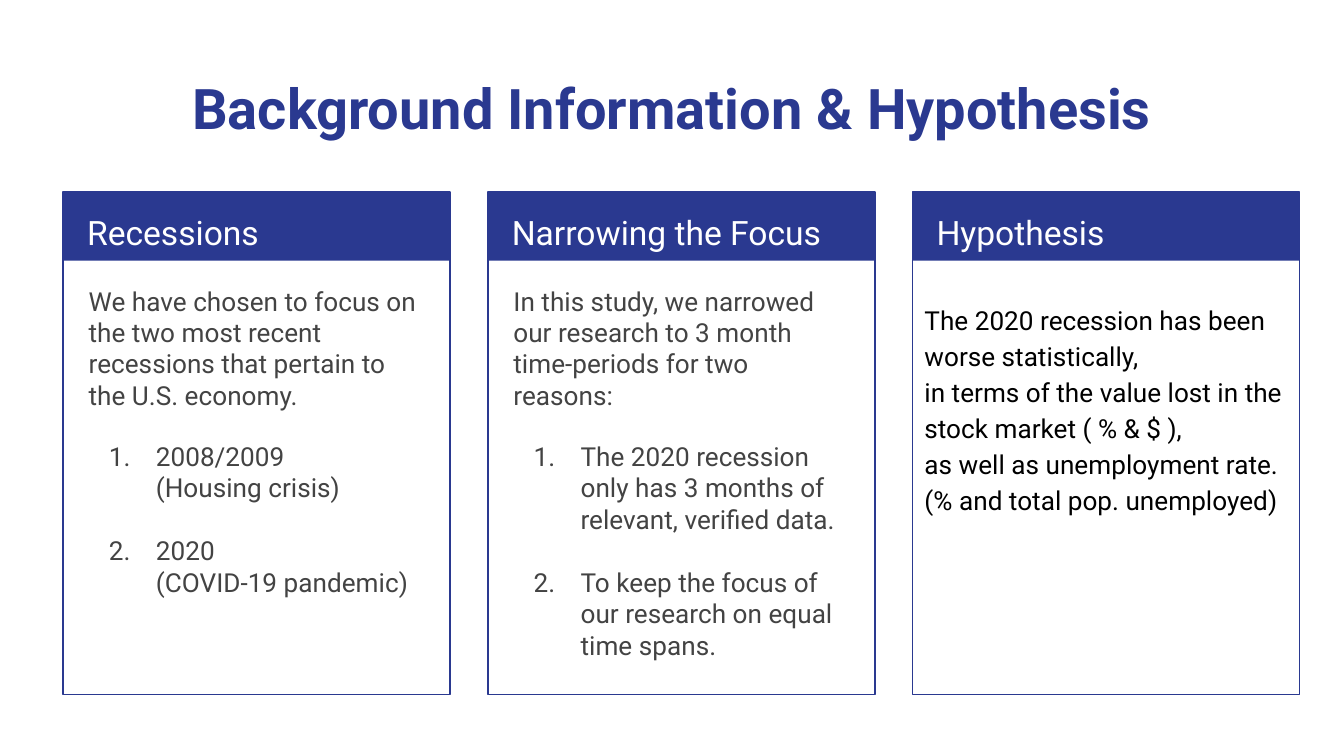
from lxml import etree
from pptx import Presentation
from pptx.dml.color import RGBColor
from pptx.enum.shapes import MSO_SHAPE
from pptx.enum.text import MSO_ANCHOR, MSO_AUTO_SIZE, PP_ALIGN
from pptx.oxml.ns import qn
from pptx.util import Inches, Pt

RECTANGLE = MSO_SHAPE.RECTANGLE
TOP = MSO_ANCHOR.TOP
NO_AUTOFIT = MSO_AUTO_SIZE.NONE
CENTER, LEFT = PP_ALIGN.CENTER, PP_ALIGN.LEFT

NAVY = RGBColor(0x2A, 0x39, 0x90)
WHITE = RGBColor(0xFF, 0xFF, 0xFF)
GRAY = RGBColor(0x43, 0x43, 0x43)
BLACK = RGBColor(0x00, 0x00, 0x00)

HEADINGS = ["Recessions", "Narrowing the Focus", "Hypothesis"]
LISTS = [
    ("We have chosen to focus on the two most recent recessions "
     "that pertain to the U.S. economy.",
     ["2008/2009\v(Housing crisis)", "2020\v(COVID-19 pandemic)"]),
    ("In this study, we narrowed our research to 3 month "
     "time-periods for two reasons:",
     ["The 2020 recession only has 3 months of relevant, verified data.",
      "To keep the focus of our research on equal time spans."]),
]
ITEM_GAPS = [16, 17]
HYPOTHESIS = (
    "The 2020 recession has been worse statistically,\v"
    "in terms of the value lost in the stock market ( % & $ ),\v"
    "as well as unemployment rate. (% and total pop. unemployed)"
)
CARD_LEFT, CARD_TOP, CARD_WIDTH, CARD_PITCH = 0.47, 1.43, 2.88, 3.16


def place(box, left, top, width, height):
    """Position a text shape and give its frame the slide's common settings."""
    box.left, box.top = Inches(left), Inches(top)
    box.width, box.height = Inches(width), Inches(height)
    frame = box.text_frame
    frame.word_wrap = True
    frame.auto_size = NO_AUTOFIT
    frame.vertical_anchor = TOP
    frame.margin_left = frame.margin_right = Inches(0.1)
    frame.margin_top = frame.margin_bottom = Inches(0.1)
    return frame


def write(para, text, size, color, spacing=1.0, before=0, align=LEFT):
    """Fill a paragraph and set its spacing and font."""
    para.text = text
    para.alignment = align
    para.line_spacing = spacing
    para.space_before = Pt(before)
    para.font.name = "Roboto"
    para.font.size = Pt(size)
    para.font.color.rgb = color


# Widescreen page, 16 to 9
deck = Presentation()
deck.slide_width = Inches(10)
deck.slide_height = Inches(10 * 9 / 16)
slide = deck.slides.add_slide(deck.slide_layouts.get_by_name("Two Content"))
shapes = slide.shapes

# Title
title = place(shapes.title, 0.34, 0.45, 9.32, 0.66).paragraphs[0]
write(title, "Background Information & Hypothesis", 30, NAVY, align=CENTER)
title.font.bold = True

# Cards with a filled heading band
for column, heading in enumerate(HEADINGS):
    left = CARD_LEFT + column * CARD_PITCH
    band = shapes.add_shape(RECTANGLE, Inches(left), Inches(CARD_TOP),
                            Inches(CARD_WIDTH), Inches(0.51))
    band.fill.solid()
    band.fill.fore_color.rgb = NAVY
    band.line.fill.background()
    band.shadow.inherit = False

    card = shapes.add_shape(RECTANGLE, Inches(left), Inches(CARD_TOP),
                            Inches(CARD_WIDTH), Inches(3.74))
    card.fill.background()
    card.line.color.rgb = NAVY
    card.line.width = Pt(0.75)
    card.shadow.inherit = False

    heading_box = shapes.add_textbox(0, 0, 0, 0)
    frame = place(heading_box, left + 0.08, CARD_TOP, 2.73, 0.5)
    write(frame.paragraphs[0], heading, 18, WHITE, spacing=1.15)

# Introductions with numbered lists in the first two cards
for column, (introduction, items) in enumerate(LISTS):
    frame = place(slide.placeholders[column + 1],
                  CARD_LEFT + 0.09 + column * CARD_PITCH, 2.02, 2.71, 3.06)
    intro = frame.paragraphs[0]
    properties = intro._p.get_or_add_pPr()
    properties.set("marL", "0")
    properties.set("indent", "0")
    etree.SubElement(properties, qn("a:buNone"))
    write(intro, introduction, 14, GRAY)
    for item, gap in zip(items, ITEM_GAPS):
        para = frame.add_paragraph()
        properties = para._p.get_or_add_pPr()
        properties.set("marL", str(Inches(0.5)))
        properties.set("indent", str(Inches(-0.35)))
        etree.SubElement(properties, qn("a:buFont"), typeface="Roboto")
        etree.SubElement(properties, qn("a:buAutoNum"), type="arabicPeriod")
        write(para, item, 14, GRAY, before=gap)

# Hypothesis text
hypothesis_box = shapes.add_textbox(0, 0, 0, 0)
frame = place(hypothesis_box, 6.78, 2.13, 2.88, 2.42)
write(frame.paragraphs[0], HYPOTHESIS, 14, BLACK, spacing=1.15)

deck.save("out.pptx")
